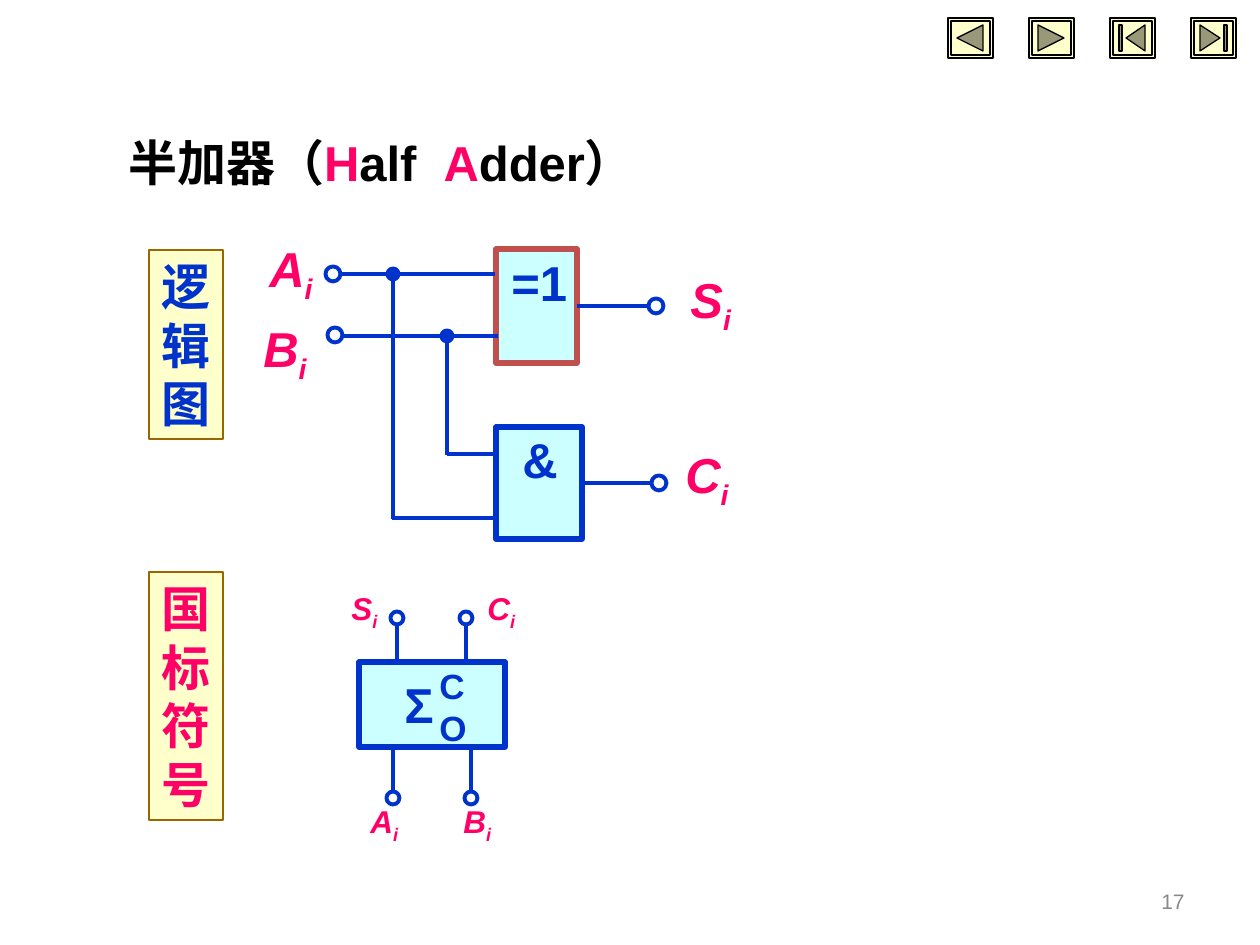
from lxml import etree
from pptx import Presentation
from pptx.dml.color import RGBColor
from pptx.enum.shapes import MSO_CONNECTOR, MSO_SHAPE
from pptx.enum.text import MSO_ANCHOR, PP_ALIGN
from pptx.oxml.ns import qn
from pptx.util import Pt

RECTANGLE = MSO_SHAPE.RECTANGLE
OVAL = MSO_SHAPE.OVAL
STRAIGHT = MSO_CONNECTOR.STRAIGHT
LEFT = PP_ALIGN.LEFT
RIGHT = PP_ALIGN.RIGHT
TOP = MSO_ANCHOR.TOP
MIDDLE = MSO_ANCHOR.MIDDLE

BLUE = RGBColor(0x00, 0x33, 0xCC)
PINK = RGBColor(0xFF, 0x00, 0x66)
BLACK = RGBColor(0x00, 0x00, 0x00)
CREAM = RGBColor(0xFF, 0xFF, 0xCC)
CYAN = RGBColor(0xCC, 0xFF, 0xFF)
BROWN = RGBColor(0x99, 0x66, 0x00)
RED = RGBColor(0xC0, 0x50, 0x4D)
OLIVE = RGBColor(0x99, 0x99, 0x7A)
GRAY = RGBColor(0x89, 0x89, 0x89)

SCALE = 914400 / 126
RIGHT_SIDE = 3


def emu(*lengths):
    return [round(length * SCALE) for length in lengths]


def style_shape(shape, fill, line, width):
    shape.shadow.inherit = False
    if fill is None:
        shape.fill.background()
    else:
        shape.fill.solid()
        shape.fill.fore_color.rgb = fill
    shape.line.color.rgb = line
    shape.line.width = Pt(width)


def add_block(page, area, fill, line, width, kind=RECTANGLE):
    shape = page.shapes.add_shape(kind, *emu(*area))
    style_shape(shape, fill, line, width)
    return shape


def add_circle(page, center, diameter, fill=None):
    left, top = (middle - diameter / 2 for middle in center)
    add_block(page, (left, top, diameter, diameter), fill, BLUE, 2.25, OVAL)


def add_wire(page, start, end, source=None):
    wire = page.shapes.add_connector(STRAIGHT, *emu(*start, *end))
    wire.line.color.rgb = BLUE
    wire.line.width = Pt(2.25)
    properties = wire._element.spPr
    etree.SubElement(properties, qn("a:effectLst"))
    if source is not None:
        wire.begin_connect(source, RIGHT_SIDE)


def add_text(page, area, lines, size, color, bold=True, italic=False,
             wrap=True, align=LEFT, anchor=TOP):
    box = page.shapes.add_textbox(*emu(*area))
    frame = box.text_frame
    frame.word_wrap = wrap
    frame.vertical_anchor = anchor
    for index, line in enumerate(lines):
        para = frame.paragraphs[0] if index == 0 else frame.add_paragraph()
        para.alignment = align
        para.font.name = "Arial"
        para.font.size = Pt(size)
        para.font.bold = bold
        para.font.italic = italic
        para.font.color.rgb = color
        if line:
            para.add_run().text = line
    return box


def add_title(page):
    box = add_text(page, (116, 126, 766, 72), [""], 28, BLACK)
    para = box.text_frame.paragraphs[0]
    for text, color in (("半加器（", BLACK), ("H", PINK), ("alf  ", BLACK),
                        ("A", PINK), ("dder）", BLACK)):
        span = para.add_run()
        span.text = text
        span.font.color.rgb = color


def add_plaque(page, area, characters, color):
    box = add_text(page, area, characters, 28, color, wrap=False)
    style_shape(box, CREAM, BROWN, 0.75)


def add_signal(page, area, letter, size):
    box = add_text(page, area, [letter], size, PINK, italic=True)
    subscript = box.text_frame.paragraphs[0].add_run()
    subscript.text = "i"
    subscript.font._element.set("baseline", "-25000")


def add_icon(page, left, points):
    (first_x, first_y), *others = points
    builder = page.shapes.build_freeform(left + first_x, first_y, scale=SCALE)
    builder.add_line_segments([(left + x, y) for x, y in others], close=True)
    style_shape(builder.convert_to_shape(), OLIVE, BLACK, 0.75)


def add_button(page, left, tip, base, bar=None):
    top, middle, bottom = 25, 38, 51
    for inset in (0, 3):
        area = (left + inset, 18 + inset, 45 - 2 * inset, 40 - 2 * inset)
        add_block(page, area, CREAM, BLACK, 0.75)
    add_icon(page, left, [(tip, middle), (base, top), (base, bottom)])
    if bar is not None:
        add_icon(page, left, [(bar, top), (bar + 3, top),
                              (bar + 3, bottom), (bar, bottom)])


def add_logic_diagram(page):
    and_gate = add_block(page, (496, 427, 86, 112), CYAN, BLUE, 3)
    xor_gate = add_block(page, (496, 249, 81, 114), CYAN, RED, 3)
    for start, end in (((447, 454), (498, 454)), ((392, 518), (498, 518)),
                       ((340, 274), (495, 274)), ((343, 336), (498, 336)),
                       ((447, 331), (447, 455)), ((393, 274), (393, 519))):
        add_wire(page, start, end)
    add_wire(page, (582, 483), (652, 483), and_gate)
    add_wire(page, (577, 306), (649, 306), xor_gate)
    for center in ((333, 274), (335, 335), (656, 306), (659, 483)):
        add_circle(page, center, 15)
    for center in ((393, 274), (447, 336)):
        add_circle(page, center, 11, BLUE)
    add_text(page, (499, 246, 81, 72), ["=1"], 28, BLUE, wrap=False)
    add_text(page, (510, 423, 60, 72), ["&"], 28, BLUE, wrap=False)
    for letter, left, top in (("A", 257, 232), ("B", 251, 312),
                              ("S", 678, 263), ("C", 673, 438)):
        add_signal(page, (left, top, 130, 79), letter, 28)


def add_adder_symbol(page):
    add_block(page, (359, 662, 146, 85), CYAN, BLUE, 3)
    for x, edge, end, center in ((397, 662, 624, 618), (466, 662, 624, 618),
                                 (393, 747, 792, 798), (471, 747, 792, 798)):
        add_wire(page, (x, edge), (x, end))
        add_circle(page, (x, center), 13)
    add_text(page, (392, 668, 54, 72), ["Σ"], 28, BLUE, wrap=False)
    add_text(page, (427, 658, 77, 55), ["CO"], 20, BLUE, wrap=False)
    for letter, left, top in (("S", 339, 583), ("C", 475, 583),
                              ("A", 358, 796), ("B", 451, 796)):
        add_signal(page, (left, top, 100, 55), letter, 18)


def main():
    deck = Presentation()
    deck.slide_width, deck.slide_height = emu(1260, 945)
    page = deck.slides.add_slide(deck.slide_layouts[6])
    add_plaque(page, (149, 250, 74, 189), "逻辑图", BLUE)
    add_plaque(page, (149, 572, 74, 248), "国标符号", PINK)
    add_title(page)
    add_logic_diagram(page)
    add_adder_symbol(page)
    buttons = ((9, 35, None), (35, 9, None), (16, 35, 9), (29, 9, 33))
    for index, (tip, base, bar) in enumerate(buttons):
        add_button(page, 948 + 81 * index, tip, base, bar)
    add_text(page, (903, 876, 294, 50), ["17"], 12, GRAY, bold=False,
             align=RIGHT, anchor=MIDDLE)
    deck.save("out.pptx")


if __name__ == "__main__":
    main()
